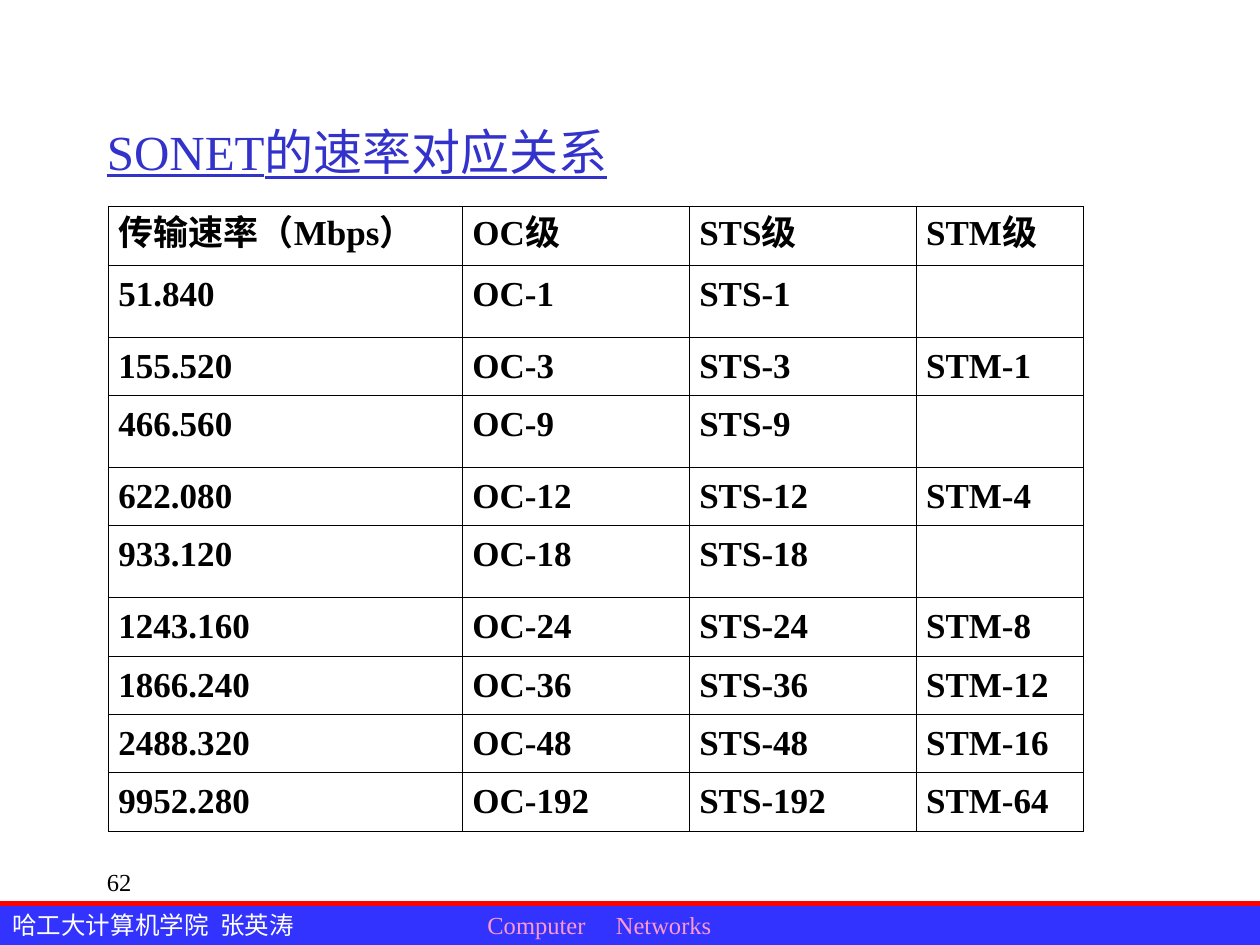
from lxml.etree import SubElement
from pptx import Presentation
from pptx.dml.color import RGBColor
from pptx.enum.shapes import MSO_CONNECTOR, MSO_SHAPE
from pptx.enum.text import MSO_ANCHOR, PP_ALIGN
from pptx.oxml.ns import qn
from pptx.util import Inches, Pt

COLORS = {"bar": "3333FF", "rule": "FF0000", "title": "3333CC",
          "text": "000000", "white": "FFFFFF", "pink": "FF99CC"}


def rgb(name):
    return RGBColor.from_string(COLORS[name])


def add_run(p, text, size, color, bold=False, underline=False):
    r = p.add_run()
    r.text = text
    r.font.name = "Times New Roman"
    r.font.size = Pt(size)
    r.font.bold = bold
    r.font.underline = underline
    r.font.color.rgb = rgb(color)


prs = Presentation()
prs.slide_width = Inches(10)
prs.slide_height = Inches(7.5)
s = prs.slides.add_slide(prs.slide_layouts[6])

sp = s.shapes.add_shape(MSO_SHAPE.RECTANGLE, 0, Inches(7.17), Inches(10), Inches(0.34))
sp.shadow.inherit = False
sp.fill.solid()
sp.fill.fore_color.rgb = rgb("bar")
sp.line.fill.background()
tf = sp.text_frame
tf.word_wrap = True
tf.vertical_anchor = MSO_ANCHOR.TOP
p = tf.paragraphs[0]
p.alignment = PP_ALIGN.LEFT
tabs = SubElement(p._p.get_or_add_pPr(), qn("a:tabLst"))
for pos in (1.65, 3.77, 4.79):
    SubElement(tabs, qn("a:tab"), pos=str(Inches(pos)), algn="l")
add_run(p, "哈工大计算机学院\t张英涛\t", 14, "white")
add_run(p, "Computer\tNetworks", 14, "pink")

line = s.shapes.add_connector(MSO_CONNECTOR.STRAIGHT, 0, Inches(7.17), Inches(10), Inches(7.17))
line.line.color.rgb = rgb("rule")
line.line.width = Pt(3)
SubElement(line._element.spPr, qn("a:effectLst"))

for text, left, top, width, height, size, color, anchor, underline in (
    ("SONET的速率对应关系", 0.75, 0.67, 8.5, 1.05, 28, "title", MSO_ANCHOR.MIDDLE, True),
    ("62", 0.75, 6.83, 2.08, 0.5, 14, "text", MSO_ANCHOR.TOP, False),
):
    sp = s.shapes.add_textbox(Inches(left), Inches(top), Inches(width), Inches(height))
    tf = sp.text_frame
    tf.word_wrap = True
    tf.vertical_anchor = anchor
    add_run(tf.paragraphs[0], text, size, color, underline=underline)

rows = [("传输速率（Mbps）", "OC级", "STS级", "STM级")]
for rate, level, stm in (
    ("51.840", 1, ""), ("155.520", 3, "STM-1"), ("466.560", 9, ""),
    ("622.080", 12, "STM-4"), ("933.120", 18, ""), ("1243.160", 24, "STM-8"),
    ("1866.240", 36, "STM-12"), ("2488.320", 48, "STM-16"), ("9952.280", 192, "STM-64"),
):
    rows.append((rate, f"OC-{level}", f"STS-{level}", stm))

widths = (2.81, 1.8, 1.8, 1.33)
frame = s.shapes.add_table(len(rows), len(widths), Inches(0.86), Inches(1.64),
                           Inches(sum(widths)), Inches(4.64))
table = frame.table
table.first_row = False
table.horz_banding = False
for col, width in zip(table.columns, widths):
    col.width = Inches(width)
for row, values in zip(table.rows, rows):
    row.height = Inches(0.464)
    for cell, value in zip(row.cells, values):
        cell.margin_left = cell.margin_right = Inches(0.08)
        cell.margin_top = Inches(0.22)
        cell.margin_bottom = Inches(0.05)
        tcPr = cell._tc.get_or_add_tcPr()
        for side in ("lnL", "lnR", "lnT", "lnB"):
            ln = SubElement(tcPr, qn(f"a:{side}"), w=str(Pt(0.45)))
            fill = SubElement(ln, qn("a:solidFill"))
            SubElement(fill, qn("a:srgbClr"), val=COLORS["text"])
        cell.fill.background()
        p = cell.text_frame.paragraphs[0]
        p.alignment = PP_ALIGN.JUSTIFY
        p.line_spacing = Pt(12)
        if value:
            add_run(p, value, 20, "text", bold=True)

prs.save("out.pptx")
